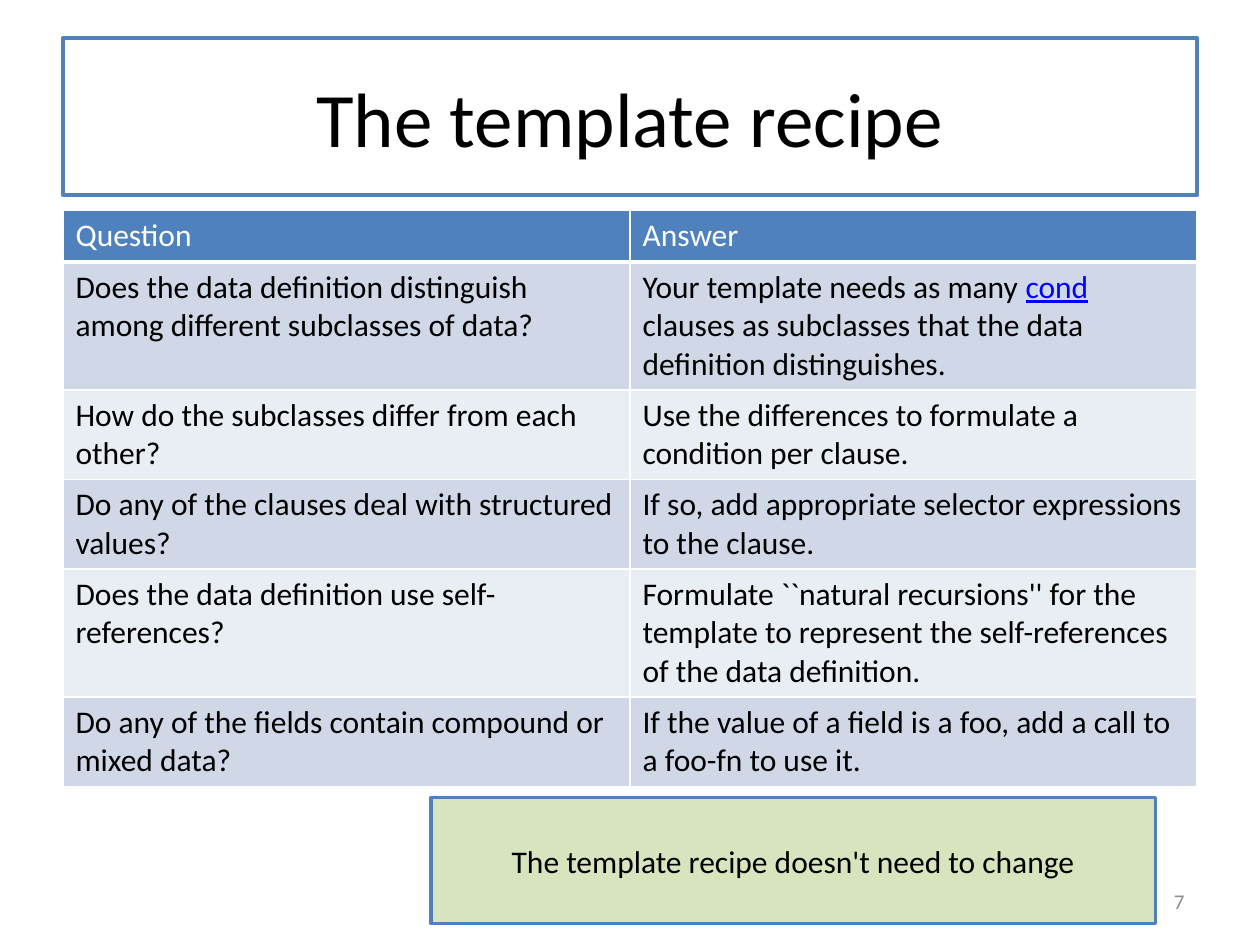
from lxml import etree
from pptx import Presentation
from pptx.dml.color import RGBColor
from pptx.enum.shapes import MSO_SHAPE
from pptx.enum.text import MSO_ANCHOR, PP_ALIGN
from pptx.oxml.ns import qn
from pptx.util import Inches, Pt

RECTANGLE = MSO_SHAPE.RECTANGLE
MIDDLE = MSO_ANCHOR.MIDDLE
LEFT, CENTER, RIGHT = PP_ALIGN.LEFT, PP_ALIGN.CENTER, PP_ALIGN.RIGHT

# Content: a cell is a string or a list of runs, where a tuple marks a linked term
TITLE = "The template recipe"
ROWS = [
    ("Question", "Answer"),
    ("Does the data definition distinguish among different subclasses of data?",
     ["Your template needs as many ", ("cond",),
      " clauses as subclasses that the data definition distinguishes."]),
    ("How do the subclasses differ from each other?",
     "Use the differences to formulate a condition per clause."),
    ("Do any of the clauses deal with structured values?",
     "If so, add appropriate selector expressions to the clause."),
    ("Does the data definition use self-references?",
     "Formulate ``natural recursions'' for the template to represent "
     "the self-references of the data definition."),
    ("Do any of the fields contain compound or mixed data?",
     "If the value of a field is a foo, add a call to a foo-fn to use it."),
]
CALLOUT = "The template recipe doesn't need to change"
SLIDE_NUMBER = "7"

THEME = {
    "font": "Calibri",
    "title": 44, "body": 18, "small": 12,
    "text": "000000", "paper": "FFFFFF", "accent": "4F81BD", "link": "0000FF",
    "muted": "8C8C8C", "callout": "D7E4BD", "bands": ("D0D8E8", "E9EDF4"),
}

# Layout in inches
WIDTH, HEIGHT, MARGIN = 10, 7.5, 0.5
CONTENT_WIDTH = WIDTH - 2 * MARGIN
TABLE_TOP, ROW_HEIGHT = 1.67, 0.41  # rows grow with their text


def color(name):
    return RGBColor.from_string(THEME.get(name, name))


def write(frame, content, size="body", ink="text", align=LEFT):
    paragraph = frame.paragraphs[0]
    paragraph.alignment = align
    for part in [content] if isinstance(content, str) else content:
        linked = isinstance(part, tuple)
        run = paragraph.add_run()
        run.text = part[0] if linked else part
        run.font.name = THEME["font"]
        run.font.size = Pt(THEME[size])
        run.font.color.rgb = color("link" if linked else ink)
        if linked:
            run.font.underline = True


def place(shape, left, top, width, height):
    shape.left, shape.top = Inches(left), Inches(top)
    shape.width, shape.height = Inches(width), Inches(height)


def paint(shape, fill, line_width):
    shape.fill.solid()
    shape.fill.fore_color.rgb = color(fill)
    shape.line.color.rgb = color("accent")
    shape.line.width = Pt(line_width)


def add_borders(cell, **widths):
    properties = cell._tc.get_or_add_tcPr()
    for side, width in widths.items():
        line = etree.SubElement(properties, qn(f"a:ln{side}"), w=str(Pt(width)))
        fill = etree.SubElement(line, qn("a:solidFill"))
        etree.SubElement(fill, qn("a:srgbClr"), val=THEME["paper"])


presentation = Presentation()
presentation.slide_width, presentation.slide_height = Inches(WIDTH), Inches(HEIGHT)
slide = presentation.slides.add_slide(presentation.slide_layouts[5])

# Title
title = slide.shapes.title
place(title, MARGIN, 0.3, CONTENT_WIDTH, 1.25)
paint(title, "paper", 2.25)
title.text_frame.vertical_anchor = MIDDLE
write(title.text_frame, TITLE, size="title", align=CENTER)

# Question and answer table
table = slide.shapes.add_table(
    len(ROWS), len(ROWS[0]), Inches(MARGIN), Inches(TABLE_TOP),
    Inches(CONTENT_WIDTH), Inches(ROW_HEIGHT * len(ROWS))).table
for row_index, row in enumerate(ROWS):
    header = row_index == 0
    for column_index, content in enumerate(row):
        cell = table.cell(row_index, column_index)
        add_borders(cell, L=1, R=1, T=1, B=3 if header else 1)
        cell.fill.solid()
        cell.fill.fore_color.rgb = color(
            "accent" if header else THEME["bands"][(row_index - 1) % 2])
        write(cell.text_frame, content, ink="paper" if header else "text")
        cell.text_frame.paragraphs[0].runs[0].font.bold = False if header else None

# Slide number
number = slide.shapes.add_textbox(0, 0, 0, 0)
place(number, 7.17, 6.95, 2.33, 0.4)
number.text_frame.word_wrap = True
number.text_frame.vertical_anchor = MIDDLE
write(number.text_frame, SLIDE_NUMBER, size="small", ink="muted", align=RIGHT)

# Callout
callout = slide.shapes.add_shape(RECTANGLE, 0, 0, 0, 0)
place(callout, 3.42, 6.33, 5.75, 1)
callout.shadow.inherit = False
paint(callout, "callout", 2)
callout.text_frame.word_wrap = True
callout.text_frame.vertical_anchor = MIDDLE
write(callout.text_frame, CALLOUT, align=CENTER)

presentation.save("out.pptx")
